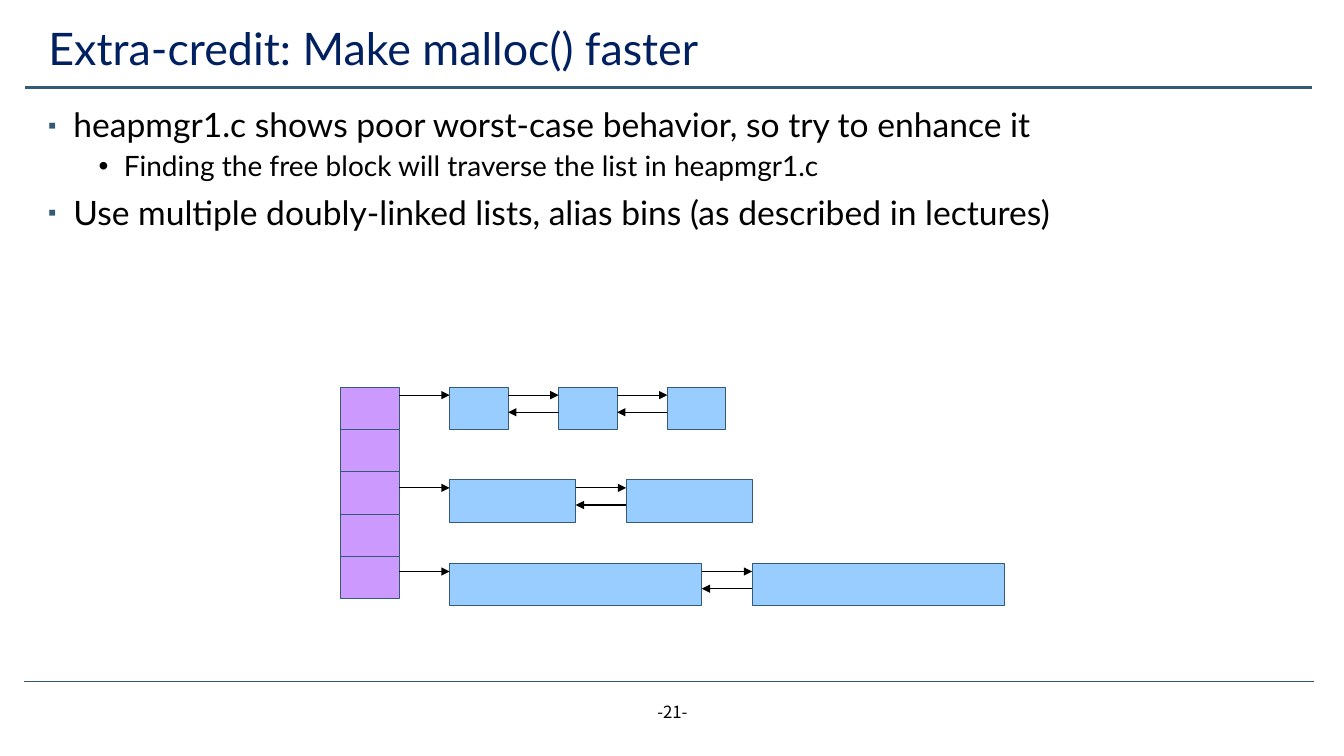
from dataclasses import dataclass

from lxml import etree
from pptx import Presentation
from pptx.dml.color import RGBColor
from pptx.enum import shapes, text
from pptx.oxml import ns
from pptx.util import Inches, Pt


@dataclass(frozen=True)
class Theme:
    """Colours, fonts and type sizes of the slide."""
    navy: RGBColor = RGBColor(0x00, 0x20, 0x60)
    teal: RGBColor = RGBColor(0x33, 0x5B, 0x74)
    black: RGBColor = RGBColor(0, 0, 0)
    white: RGBColor = RGBColor(255, 255, 255)
    bin_fill: RGBColor = RGBColor(0xCC, 0x99, 0xFF)
    block_fill: RGBColor = RGBColor(0x99, 0xCC, 0xFF)
    font: str = "Lato"
    number_font: str = "Noto Sans CJK KR"
    title_size: int = 32
    level_sizes: tuple = (24, 20)
    number_size: int = 12


THEME = Theme()
BIN_LEFT, BIN_TOP, BIN_COUNT = 3.38, 3.84, 5
BIN_WIDTH, CELL_HEIGHT, GAP = 0.58, 0.42, 0.5
NEXT_OFFSET, PREV_OFFSET = 0.08, 0.25
BULLETS = [
    (0, "heapmgr1.c shows poor worst-case behavior, so try to enhance it"),
    (1, "Finding the free block will traverse the list in heapmgr1.c"),
    (0, "Use multiple doubly-linked lists, alias bins (as described in lectures)"),
]
FREE_LISTS = [(3.84, BIN_WIDTH, 3), (4.76, 1.25, 2), (5.59, 2.5, 2)]


def add_xml(parent, tag, **attributes):
    """Append a DrawingML element and return it."""
    return etree.SubElement(parent, ns.qn(tag), attributes)


def set_font(p, size, color, name=THEME.font):
    """Format a whole paragraph."""
    p.font.size = Pt(size)
    p.font.name = name
    p.font.color.rgb = color


def add_line(parent, start, end, color, width, arrow=False):
    """Draw a straight line, with an arrowhead at its end if asked."""
    points = [Inches(v) for v in (*start, *end)]
    line = parent.add_connector(shapes.MSO_CONNECTOR.STRAIGHT, *points)
    line.line.color.rgb = color
    line.line.width = Pt(width)
    if arrow:
        add_xml(line.line._get_or_add_ln(), "a:tailEnd", type="triangle")
    add_xml(line._element.spPr, "a:effectLst")


def add_arrow(parent, x, y, step):
    """Draw a horizontal list pointer."""
    add_line(parent, (x, y), (x + step, y), THEME.black, 0.75, arrow=True)


def add_cell(parent, x, y, width, fill):
    """Draw one bin or memory block."""
    sp = parent.add_shape(shapes.MSO_SHAPE.RECTANGLE, Inches(x), Inches(y),
                          Inches(width), Inches(CELL_HEIGHT))
    sp.shadow.inherit = False
    sp.fill.solid()
    sp.fill.fore_color.rgb = fill
    sp.line.color.rgb = THEME.teal
    sp.line.width = Pt(0.75)


def add_title(s, words):
    """Place and format the title placeholder."""
    sp = s.shapes.title
    sp.left, sp.top = Inches(0.38), Inches(0.19)
    sp.width, sp.height = Inches(12.43), Inches(0.63)
    tf = sp.text_frame
    tf.text = words
    tf.vertical_anchor = text.MSO_ANCHOR.MIDDLE
    p = tf.paragraphs[0]
    p.alignment = text.PP_ALIGN.LEFT
    p.line_spacing = 0.9
    set_font(p, THEME.title_size, THEME.navy)


def format_bullet(p, level):
    """Give a paragraph the bullet, indent and spacing of its level."""
    p.level = level
    p.line_spacing = 0.9
    p.space_before = Pt((10, 5)[level])
    pPr = p._p.get_or_add_pPr()
    pPr.set("marL", str(Inches((0.25, 0.75)[level])))
    pPr.set("indent", str(Inches(-0.25)))
    if level == 0:
        add_xml(add_xml(pPr, "a:buClr"), "a:srgbClr", val=str(THEME.teal))
        add_xml(pPr, "a:buSzPct", val="70000")
    add_xml(pPr, "a:buFont", typeface="Arial")
    add_xml(pPr, "a:buChar", char="▪•"[level])
    set_font(p, THEME.level_sizes[level], THEME.black)


def add_body(s):
    """Add the bulleted text."""
    sp = s.shapes.add_textbox(Inches(0.38), Inches(1.03), Inches(12.43), Inches(5.62))
    sp.fill.solid()
    sp.fill.fore_color.rgb = THEME.white
    tf = sp.text_frame
    tf.word_wrap = True
    for i, (level, words) in enumerate(BULLETS):
        p = tf.add_paragraph() if i else tf.paragraphs[0]
        p.text = words
        format_bullet(p, level)


def add_page_number(s, words):
    """Add the centred page number."""
    sp = s.shapes.add_textbox(Inches(5.17), Inches(6.91), Inches(3), Inches(0.4))
    tf = sp.text_frame
    tf.word_wrap = True
    p = tf.paragraphs[0]
    p.text = words
    p.alignment = text.PP_ALIGN.CENTER
    set_font(p, THEME.number_size, THEME.black, THEME.number_font)


def add_free_list(parent, top, width, count):
    """Draw a doubly-linked list that hangs from a bin."""
    for i in range(count):
        x = BIN_LEFT + BIN_WIDTH + GAP + i * (width + GAP)
        add_cell(parent, x, top, width, THEME.block_fill)
        add_arrow(parent, x - GAP, top + NEXT_OFFSET, GAP)
        if i:
            add_arrow(parent, x, top + PREV_OFFSET, -GAP)


def add_diagram(s):
    """Draw the bins and their free lists as one group."""
    parent = s.shapes.add_group_shape().shapes
    for i in range(BIN_COUNT):
        add_cell(parent, BIN_LEFT, BIN_TOP + i * CELL_HEIGHT, BIN_WIDTH, THEME.bin_fill)
    for top, width, count in FREE_LISTS:
        add_free_list(parent, top, width, count)


def main():
    """Build and save the slide."""
    prs = Presentation()
    prs.slide_width, prs.slide_height = Inches(13.33), Inches(7.5)
    s = prs.slides.add_slide(prs.slide_layouts[5])
    add_title(s, "Extra-credit: Make malloc() faster")
    add_body(s)
    add_line(s.shapes, (0.25, 0.87), (13.01, 0.87), THEME.teal, 1.75)
    add_line(s.shapes, (0.24, 6.76), (13.03, 6.76), THEME.teal, 0.5)
    add_page_number(s, "-21-")
    add_diagram(s)
    prs.save("out.pptx")


if __name__ == "__main__":
    main()
